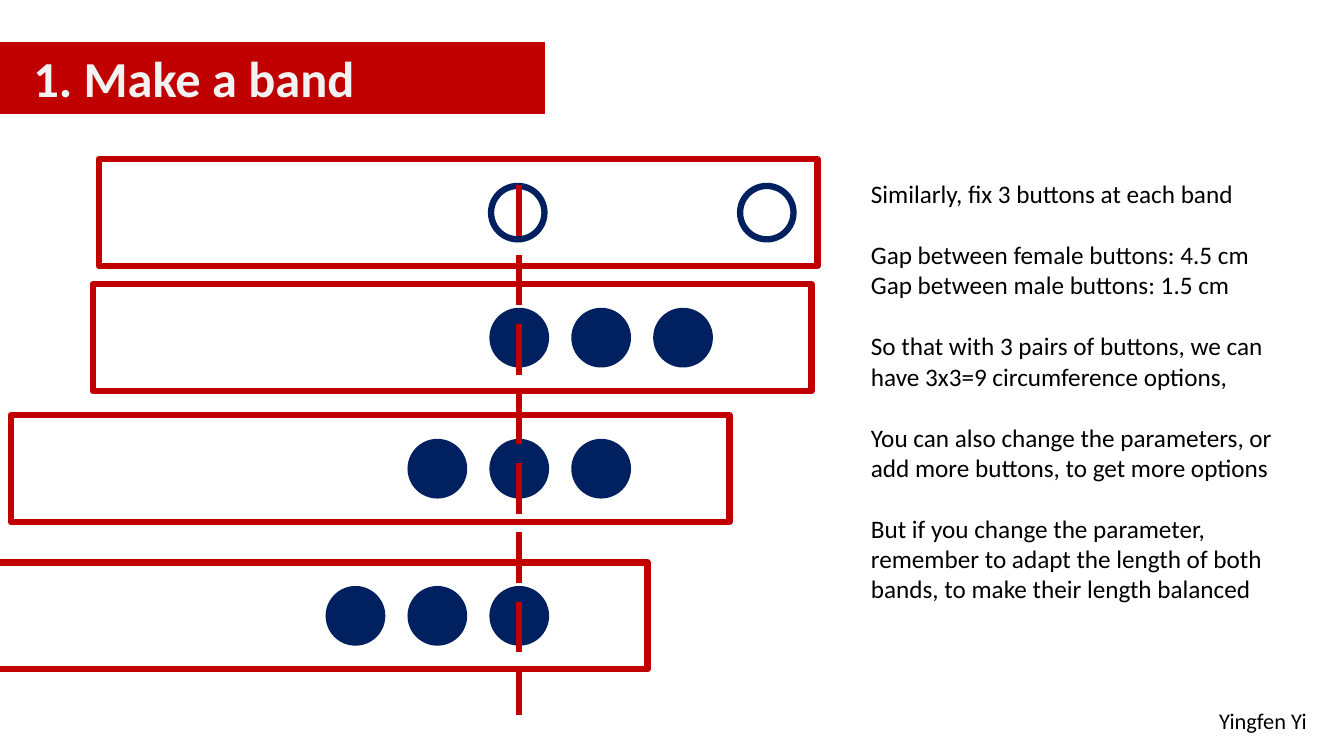
from dataclasses import dataclass

from lxml.etree import SubElement
from pptx import Presentation
from pptx.dml.color import RGBColor
from pptx.enum.dml import MSO_LINE_DASH_STYLE as DASH
from pptx.enum.shapes import MSO_CONNECTOR as CONNECTOR, MSO_SHAPE as SHAPE
from pptx.enum.text import MSO_ANCHOR as ANCHOR, PP_ALIGN as ALIGN
from pptx.oxml.ns import qn
from pptx.util import Inches, Pt

COLUMNS, ROWS = 160, 90


@dataclass(frozen=True)
class Theme:
    font: str = "Calibri"
    red: RGBColor = RGBColor(0xC0, 0x00, 0x00)
    navy: RGBColor = RGBColor(0x00, 0x20, 0x60)
    title_ink: RGBColor = RGBColor(0xF2, 0xF2, 0xF2)
    ink: RGBColor = RGBColor(0x00, 0x00, 0x00)
    title_size: float = 36
    body_size: float = 18
    author_size: float = 16
    stroke: float = 4.5
    hairline: float = 0.75
    paragraph_gap: float = 22


class BandSlide:
    """Draws on one blank slide; all lengths are grid columns and rows."""

    band_width, band_height = 85.56, 12.72
    button_size, button_drop = 6.36, 3.18

    def __init__(self, deck, theme):
        self.theme = theme
        self.slide = deck.slides.add_slide(deck.slide_layouts[6])
        self.column = deck.slide_width / COLUMNS
        self.row = deck.slide_height / ROWS

    def place(self, x, y, width, height):
        return (round(x * self.column), round(y * self.row),
                round(width * self.column), round(height * self.row))

    def outline(self, parent, kind, box, color, filled, weight):
        shape = parent.shapes.add_shape(kind, *self.place(*box))
        shape.shadow.inherit = False
        if filled:
            shape.fill.solid()
            shape.fill.fore_color.rgb = color
        else:
            shape.fill.background()
        shape.line.color.rgb = color
        shape.line.width = Pt(weight)
        return shape

    def style(self, paragraph, size, color, bold=False, align=ALIGN.LEFT):
        paragraph.alignment = align
        font = paragraph.font
        font.name, font.size, font.bold = self.theme.font, Pt(size), bold
        font.color.rgb = color

    def title(self, text, box):
        theme = self.theme
        banner = self.outline(self.slide, SHAPE.RECTANGLE, box, theme.red,
                              True, theme.hairline)
        frame = banner.text_frame
        frame.text = text
        frame.margin_left = Inches(0.33)
        frame.vertical_anchor = ANCHOR.TOP
        self.style(frame.paragraphs[0], theme.title_size, theme.title_ink, bold=True)

    def text(self, blocks, box, size, align=ALIGN.LEFT, anchor=ANCHOR.TOP):
        """Writes blocks of paragraphs, with a gap between the blocks."""
        frame = self.slide.shapes.add_textbox(*self.place(*box)).text_frame
        frame.word_wrap = True
        frame.vertical_anchor = anchor
        frame.text = "\n".join(line for block in blocks for line in block)
        paragraphs = iter(frame.paragraphs)
        for block_number, block in enumerate(blocks):
            for line_number in range(len(block)):
                paragraph = next(paragraphs)
                self.style(paragraph, size, self.theme.ink, align=align)
                if block_number and not line_number:
                    paragraph.space_before = Pt(self.theme.paragraph_gap)

    def band(self, x, y, button_offsets, filled):
        theme = self.theme
        band = self.slide.shapes.add_group_shape()
        self.outline(band, SHAPE.RECTANGLE, (x, y, self.band_width, self.band_height),
                     theme.red, False, theme.stroke)
        for offset in button_offsets:
            button = (x + offset, y + self.button_drop,
                      self.button_size, self.button_size)
            self.outline(band, SHAPE.OVAL, button, theme.navy, filled, theme.stroke)

    def alignment_line(self, x, top, bottom):
        left, start, _, _ = self.place(x, top, 0, 0)
        end = round(bottom * self.row)
        line = self.slide.shapes.add_connector(CONNECTOR.STRAIGHT, left, start, left, end)
        line.line.color.rgb = self.theme.red
        line.line.width = Pt(self.theme.stroke)
        line.line.dash_style = DASH.LONG_DASH
        SubElement(line._element.spPr, qn("a:effectLst"))


def main():
    deck = Presentation()
    deck.slide_width, deck.slide_height = Inches(13.33), Inches(7.5)
    theme = Theme()
    page = BandSlide(deck, theme)

    page.title("1. Make a band", (0, 5.04, 64.8, 8.52))
    instructions = [
        ["Similarly, fix 3 buttons at each band"],
        ["Gap between female buttons: 4.5 cm", "Gap between male buttons: 1.5 cm"],
        ["So that with 3 pairs of buttons, we can have 3x3=9 circumference options,"],
        ["You can also change the parameters, or add more buttons, to get more options"],
        ["But if you change the parameter, remember to adapt the length of both "
         "bands, to make their length balanced"],
    ]
    page.text(instructions, (102.5, 20.64, 50.3, 52.08), theme.body_size)

    page.band(11.76, 18.96, (46.7, 76.35), filled=False)
    male_pitch = 9.75
    male_offsets = [47.6 + male_pitch * button for button in range(3)]
    # Each male band slides left by one button, so the next button meets the line.
    for step, top in enumerate((33.84, 49.44, 66.96)):
        page.band(11.04 - male_pitch * step, top, male_offsets, filled=True)
    page.alignment_line(61.8, 22.08, 85.08)

    page.text([["Yingfen Yi"]], (102.75, 83.4, 54, 4.8), theme.author_size,
              ALIGN.RIGHT, ANCHOR.MIDDLE)
    deck.save("out.pptx")


if __name__ == "__main__":
    main()
